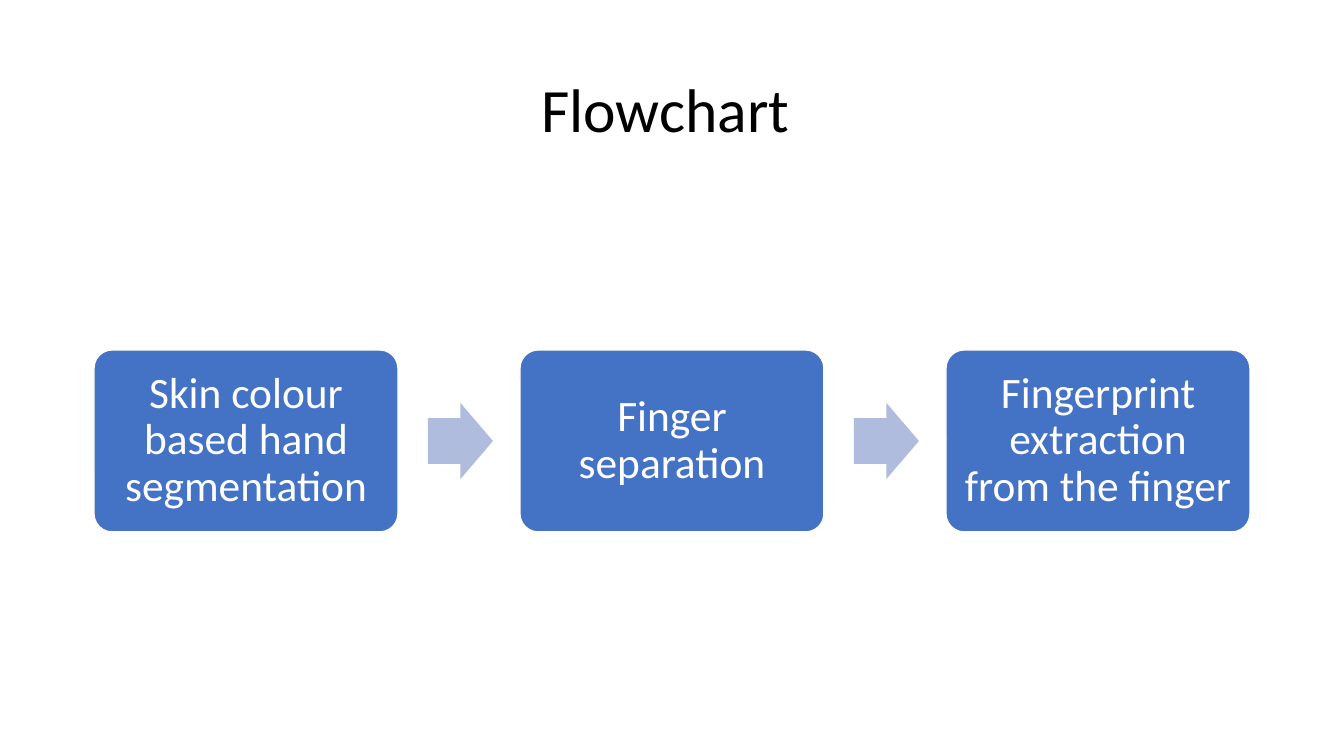
from pptx import Presentation
from pptx.dml.color import RGBColor
from pptx.enum.shapes import MSO_SHAPE
from pptx.enum.text import MSO_ANCHOR, PP_ALIGN
from pptx.util import Emu, Pt

ROUND_RECT = MSO_SHAPE.ROUNDED_RECTANGLE
RIGHT_ARROW = MSO_SHAPE.RIGHT_ARROW
MIDDLE = MSO_ANCHOR.MIDDLE
CENTER = PP_ALIGN.CENTER

WIDTH, HEIGHT = 1344, 756
SCALE = 914400 / 100.8
COLORS = {"title": "000000", "box": "4472C4", "arrow": "B0BCDE", "white": "FFFFFF"}
STEPS = [
    "Skin colour based hand segmentation",
    "Finger separation",
    "Fingerprint extraction from the finger",
]
STEP_PITCH = 426


def px(n):
    """Turn px into EMU."""
    return Emu(round(n * SCALE))


def rgb(name):
    """Look up a named colour."""
    return RGBColor.from_string(COLORS[name])


class FlowSlide:
    """Hold the text style and the slide being drawn."""

    font = "Calibri"

    def __init__(self, prs):
        """Add a blank slide."""
        self.shapes = prs.slides.add_slide(prs.slide_layouts[6]).shapes

    def label(self, sp, text, size, color, inset):
        """Put one centred paragraph into a shape."""
        tf = sp.text_frame
        frame = {"word_wrap": True, "vertical_anchor": MIDDLE}
        for side in ("left", "top", "right", "bottom"):
            frame[f"margin_{side}"] = px(inset)
        p = tf.paragraphs[0]
        r = p.add_run()
        r.text = text
        r.font.color.rgb = rgb(color)
        formats = (
            (tf, frame),
            (p, {"alignment": CENTER, "line_spacing": 0.9}),
            (r.font, {"name": self.font, "size": Pt(size)}),
        )
        for target, values in formats:
            for key, value in values.items():
                setattr(target, key, value)

    def title(self, text, *box):
        """Add the slide title."""
        self.label(self.shapes.add_textbox(*map(px, box)), text, 44, "title", 5)

    def shape(self, kind, fill, adjustments, *box):
        """Add a filled preset shape without outline or shadow."""
        sp = self.shapes.add_shape(kind, *map(px, box))
        sp.shadow.inherit = False
        sp.fill.solid()
        sp.fill.fore_color.rgb = rgb(fill)
        sp.line.fill.background()
        for i, value in enumerate(adjustments):
            sp.adjustments[i] = value
        return sp

    def step(self, text, *box):
        """Add a labelled rounded box."""
        sp = self.shape(ROUND_RECT, "box", [0.1], *box)
        sp.line.color.rgb = rgb("white")
        sp.line.width = Pt(1)
        self.label(sp, text, 31, "white", 12)

    def arrow(self, *box):
        """Add a block arrow between steps."""
        self.shape(RIGHT_ARROW, "arrow", [0.6, 0.5], *box)


def main():
    """Build and save the flowchart slide."""
    prs = Presentation()
    prs.slide_width, prs.slide_height = px(WIDTH), px(HEIGHT)
    s = FlowSlide(prs)
    s.title("Flowchart ", 93, 40, 1159, 146)
    for i, text in enumerate(STEPS):
        offset = i * STEP_PITCH
        if i:
            s.arrow(2 + offset, 403, 65, 76)
        s.step(text, 94 + offset, 350, 304, 182)
    prs.save("out.pptx")


if __name__ == "__main__":
    main()
